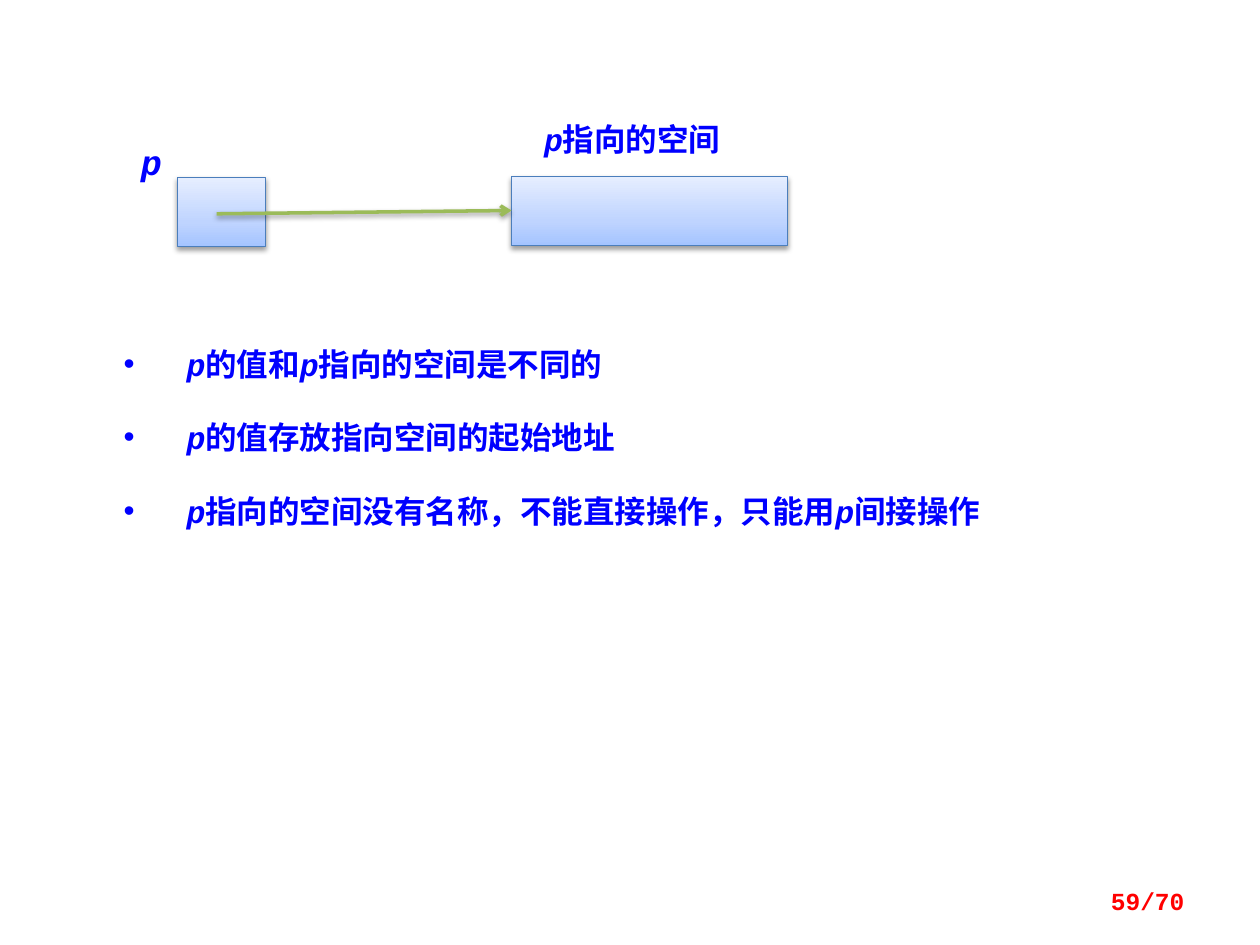
from copy import deepcopy

from pptx import Presentation, oxml
from pptx.dml import color
from pptx.enum import shapes, text
from pptx.oxml import ns
from pptx.util import Pt

BLUE = "0000FF"
SHADOW = (
    f'<a:effectLst {ns.nsdecls("a")}>'
    '<a:outerShdw blurRad="39370" dist="20320" dir="5400000" rotWithShape="0">'
    '<a:srgbClr val="000000"><a:alpha val="38000"/></a:srgbClr>'
    '</a:outerShdw></a:effectLst>'
)


def rgb(value):
    return color.RGBColor.from_string(value)


def write(para, words, size=18, shade=BLUE, align=None, spacing=None, before=0):
    para.alignment = align
    para.line_spacing = spacing
    para.space_before = Pt(before)
    for word in words:
        span = para.add_run()
        span.text = word
        span.font.name = "Courier New"
        span.font.size = Pt(size)
        span.font.bold = True
        span.font.italic = word == "p"
        span.font.color.rgb = rgb(shade)


deck = Presentation()
deck.slide_width, deck.slide_height = Pt(720), Pt(540)
page = deck.slides.add_slide(deck.slide_layouts[1])
title, body = page.placeholders
title.element.getparent().remove(title.element)

for left, top, width in ((101.5, 101.5, 50.4), (292.3, 100.8, 157.7)):
    cell = page.shapes.add_shape(
        shapes.MSO_SHAPE.RECTANGLE, Pt(left), Pt(top), Pt(width), Pt(39.4))
    cell.fill.gradient()
    cell.fill.gradient_angle = 90
    stop_list = cell.element.xpath(".//a:gsLst")[0]
    stop_list.append(deepcopy(stop_list[-1]))
    stops = ((0, "A4C4FF"), (0.35, "BFD4FF"), (1, "E6EEFF"))
    for stop, (position, shade) in zip(cell.fill.gradient_stops, stops):
        stop.position = position
        stop.color.rgb = rgb(shade)
    cell.line.color.rgb = rgb("4B7EBC")
    cell.line.width = Pt(0.75)
    cell.element.spPr.append(oxml.parse_xml(SHADOW))

arrow = page.shapes.add_connector(
    shapes.MSO_CONNECTOR.STRAIGHT, Pt(123.8), Pt(122.2), Pt(292.3), Pt(120.3))
arrow.line.color.rgb = rgb("9BBB59")
arrow.line.width = Pt(2)
arrow.element.xpath(".//a:ln")[0].append(
    oxml.parse_xml(f'<a:tailEnd {ns.nsdecls("a")} type="arrow"/>'))
arrow.element.spPr.append(oxml.parse_xml(SHADOW))

body.left, body.top, body.width, body.height = Pt(56.2), Pt(180), Pt(585.4), Pt(132.5)
body.fill.solid()
body.fill.fore_color.rgb = rgb("FFFFFF")
frame = body.text_frame
frame.auto_size = text.MSO_AUTO_SIZE.NONE
frame.margin_left, frame.margin_right = Pt(14.4), Pt(7.2)
frame.margin_top = frame.margin_bottom = Pt(8.6)
points = (
    ("p", "的值和", "p", "指向的空间是不同的"),
    ("p", "的值存放指向空间的起始地址"),
    ("p", "指向的空间没有名称，不能直接操作，只能用", "p", "间接操作"),
)
for index, words in enumerate(points):
    para = frame.add_paragraph() if index else frame.paragraphs[0]
    write(para, words, spacing=Pt(30), before=12)
    layout = para._p.get_or_add_pPr()
    layout.set("marL", str(Pt(36)))
    layout.set("indent", str(Pt(-36)))
    layout.append(oxml.parse_xml(f'<a:buClr {ns.nsdecls("a")}><a:srgbClr val="{BLUE}"/></a:buClr>'))
    layout.append(oxml.parse_xml(f'<a:buChar {ns.nsdecls("a")} char="•"/>'))

labels = (
    ((73.4, 80.6, 33.8, 27.4), ["p"], dict(size=20, spacing=0.8)),
    ((303.8, 69.1, 135.4, 24.5), ["p", "指向的空间"], dict(spacing=0.8)),
    ((516.2, 500.4, 167.8, 28.8), ["59/70"],
     dict(size=14, shade="FF0000", align=text.PP_ALIGN.RIGHT)),
)
for place, words, style in labels:
    box = page.shapes.add_textbox(*map(Pt, place))
    box.text_frame.word_wrap = True
    box.text_frame.vertical_anchor = text.MSO_ANCHOR.MIDDLE
    write(box.text_frame.paragraphs[0], words, **style)

deck.save("out.pptx")
